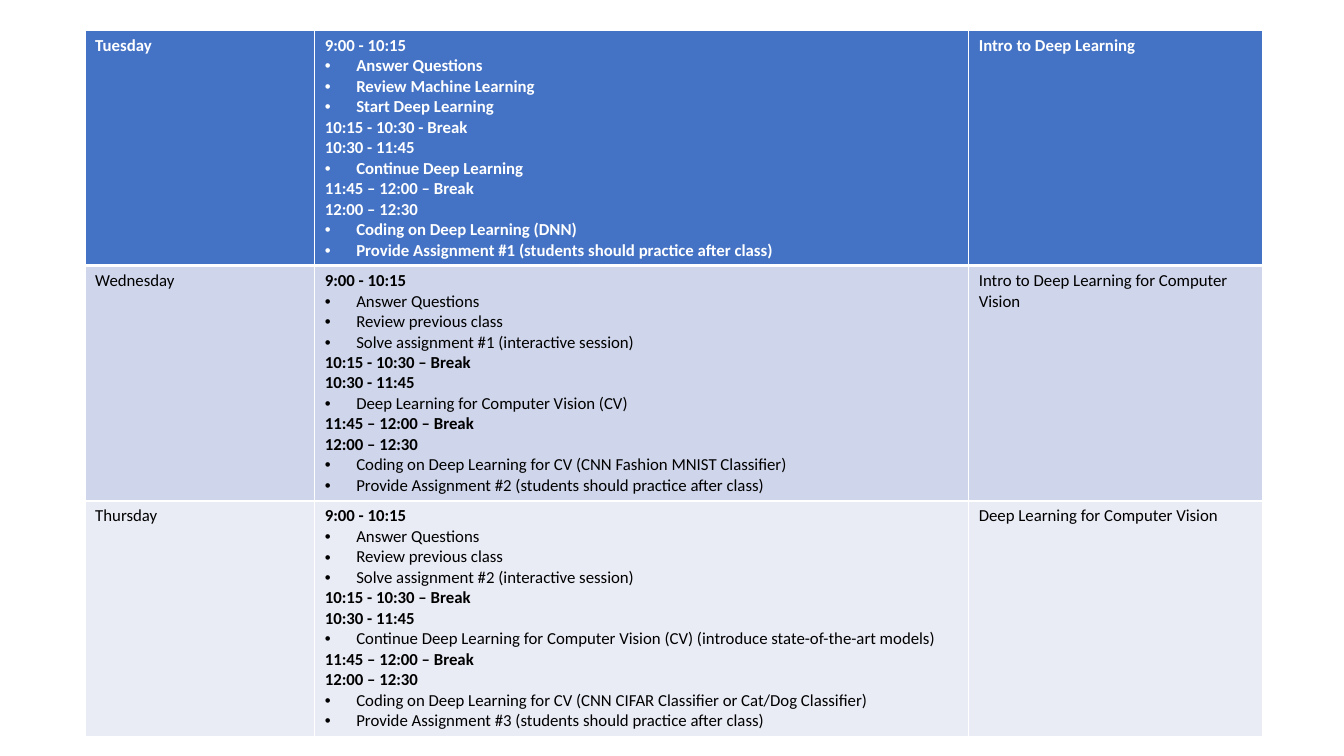
"""Builds the three-day deep learning timetable slide."""
from lxml import etree
from pptx import Presentation
from pptx.dml.color import RGBColor
from pptx.oxml.ns import qn
from pptx.util import Pt

BLANK_LAYOUT = 6
WHITE, BLACK = "FFFFFF", "000000"
BULLET_INDENT = Pt(22.5)


def color(value):
    return RGBColor.from_string(value)


class Page:
    def __init__(self, deck, font, size):
        self.font, self.size = font, size
        self.slide = deck.slides.add_slide(deck.slide_layouts[BLANK_LAYOUT])

    def table(self, left, top, widths, heights):
        frame = self.slide.shapes.add_table(
            len(heights), len(widths), Pt(left), Pt(top), Pt(sum(widths)), Pt(sum(heights)))
        table = frame.table
        for column, width in zip(table.columns, widths):
            column.width = Pt(width)
        for row, height in zip(table.rows, heights):
            row.height = Pt(height)
        return table

    def border(self, cell, side, width):
        line = etree.SubElement(
            cell._tc.get_or_add_tcPr(), qn(f"a:ln{side}"), w=str(Pt(width)))
        fill = etree.SubElement(line, qn("a:solidFill"))
        etree.SubElement(fill, qn("a:srgbClr"), val=WHITE)

    def bullet(self, para):
        properties = para._p.get_or_add_pPr()
        properties.set("marL", str(BULLET_INDENT))
        properties.set("indent", str(-BULLET_INDENT))
        etree.SubElement(properties, qn("a:buFont"), typeface="Arial")
        etree.SubElement(properties, qn("a:buChar"), char="•")

    def cell(self, cell, lines, fill, ink, header, top_width, bottom_width):
        for side, width in (("L", 1), ("R", 1), ("T", top_width), ("B", bottom_width)):
            self.border(cell, side, width)
        cell.fill.solid()
        cell.fill.fore_color.rgb = color(fill)
        cell.text_frame.text = "\n".join(text for text, _ in lines)
        for para, (_, kind) in zip(cell.text_frame.paragraphs, lines):
            if kind == "topic":
                self.bullet(para)
            for span in para.runs:
                span.font.name = self.font
                span.font.size = Pt(self.size)
                span.font.bold = header or kind == "time"
                span.font.color.rgb = color(ink)


def agenda(first_break, opening, middle, closing):
    sessions = (
        (["9:00 - 10:15"], opening),
        ([first_break, "10:30 - 11:45"], middle),
        (["11:45 – 12:00 – Break", "12:00 – 12:30"], closing),
    )
    lines = []
    for times, topics in sessions:
        lines += [(time, "time") for time in times]
        lines += [(topic, "topic") for topic in topics]
    return lines


def assignment(number):
    return f"Provide Assignment #{number} (students should practice after class)"


def review(number):
    return ["Answer Questions", "Review previous class",
            f"Solve assignment #{number} (interactive session)"]


DAYS = (
    ("Tuesday", "Intro to Deep Learning", agenda(
        "10:15 - 10:30 - Break",
        ["Answer Questions", "Review Machine Learning", "Start Deep Learning"],
        ["Continue Deep Learning"],
        ["Coding on Deep Learning (DNN)", assignment(1)])),
    ("Wednesday", "Intro to Deep Learning for Computer Vision", agenda(
        "10:15 - 10:30 – Break",
        review(1),
        ["Deep Learning for Computer Vision (CV)"],
        ["Coding on Deep Learning for CV (CNN Fashion MNIST Classifier)", assignment(2)])),
    ("Thursday", "Deep Learning for Computer Vision", agenda(
        "10:15 - 10:30 – Break",
        review(2),
        ["Continue Deep Learning for Computer Vision (CV) (introduce state-of-the-art models)"],
        ["Coding on Deep Learning for CV (CNN CIFAR Classifier or Cat/Dog Classifier)",
         assignment(3)])),
)
ROW_STYLES = (
    ("4472C4", WHITE, True, 1, 3),
    ("CFD5EA", BLACK, False, 3, 1),
    ("E9EBF5", BLACK, False, 1, 1),
)

deck = Presentation()
deck.slide_width, deck.slide_height = Pt(960), Pt(540)
page = Page(deck, "Calibri", 12)
timetable = page.table(60.8, 21.6, [164, 467.2, 210.2], [165.6] * len(DAYS))
for row, (day, theme, lines), style in zip(timetable.rows, DAYS, ROW_STYLES):
    contents = ([(day, "label")], lines, [(theme, "label")])
    for cell, content in zip(row.cells, contents):
        page.cell(cell, content, *style)
deck.save("out.pptx")
